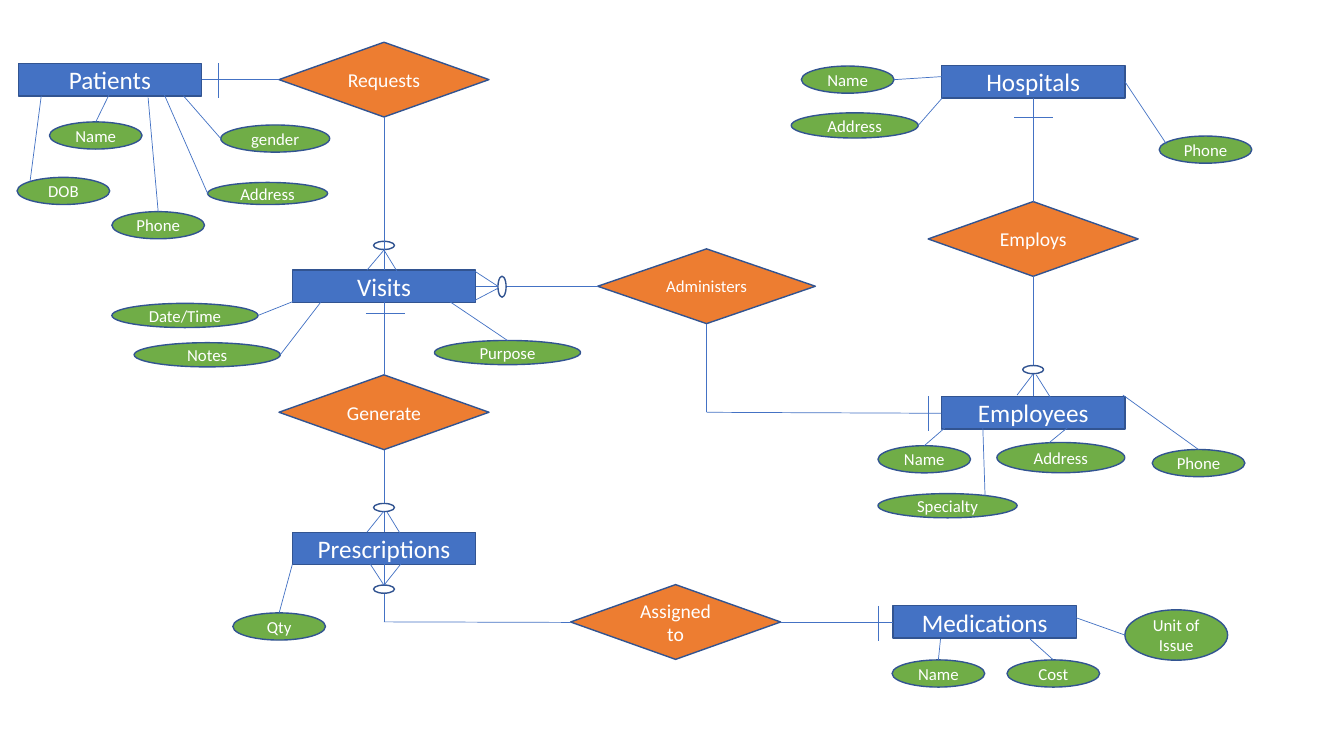
from dataclasses import dataclass
from typing import NamedTuple

from lxml.etree import SubElement
from pptx import Presentation
from pptx.dml.color import RGBColor
from pptx.enum.shapes import MSO_CONNECTOR, MSO_SHAPE
from pptx.enum.text import MSO_ANCHOR, PP_ALIGN
from pptx.oxml.ns import qn
from pptx.shapes.autoshape import Shape
from pptx.util import Pt

BLUE = RGBColor(0x44, 0x72, 0xC4)
ORANGE = RGBColor(0xED, 0x7D, 0x31)
GREEN = RGBColor(0x70, 0xAD, 0x47)
WHITE = RGBColor(0xFF, 0xFF, 0xFF)
OUTLINE = RGBColor(0x32, 0x54, 0x91)

ENTITY_WIDTH, ENTITY_HEIGHT = 131, 23.2
DIAMOND_HEIGHT = 53.4
ZERO_LONG, ZERO_SHORT = 15, 5.8
VISIT_X, HOSPITAL_X = 274.3, 738


class Point(NamedTuple):
    """A place in points, or a fraction of a shape's width and height."""
    x: float
    y: float


class Segment(NamedTuple):
    """A straight line between two points."""
    start: Point
    end: Point


TOP, LEFT, RIGHT = Point(0.5, 0), Point(0, 0.5), Point(1, 0.5)
UPPER_LEFT = Point(0.14, 0.15)


@dataclass
class Attribute:
    """An oval, and the line from its entity to a spot on its edge."""
    name: str
    left: float
    top: float
    start: Point
    side: Point = TOP
    width: float = 66.2
    height: float = 19.4


@dataclass
class Entity:
    """A named table of the model with its attributes."""
    name: str
    left: float
    top: float
    attributes: list[Attribute]


@dataclass
class Relationship:
    """A diamond placed by its centre."""
    name: str
    center: Point
    width: float = 150
    font_size: float = 14


ENTITIES = [
    Entity("Patients", 13, 45.4, [
        Attribute("Name", 35.3, 87.1, Point(77.8, 67.9)),
        Attribute("gender", 157.7, 89.3, Point(131, 68.4), LEFT, 77.8),
        Attribute("DOB", 12.2, 126.7, Point(29.5, 68.4), UPPER_LEFT),
        Attribute("Address", 148.3, 130.3, Point(117.4, 67.7), LEFT, 85.7, 15.8),
        Attribute("Phone", 79.9, 151.2, Point(105.8, 69.8)),
    ]),
    Entity("Visits", 208.8, 193, [
        Attribute("Date/Time", 79.9, 216.7, Point(209.5, 215.3), RIGHT, 104.4, 17.3),
        Attribute("Notes", 95.8, 244.8, Point(229, 216), RIGHT, 104.4, 17.3),
        Attribute("Purpose", 310.3, 243.2, Point(321.1, 215.3), TOP, 104.4, 17.3),
    ]),
    Entity("Prescriptions", 208.8, 380.2, [
        Attribute("Qty", 166.3, 437.8, Point(208.8, 403.2)),
    ]),
    Entity("Hospitals", 672.5, 46.8, [
        Attribute("Name", 572.4, 47.2, Point(673.2, 54.7), RIGHT),
        Attribute("Address", 565.2, 80.6, Point(673.2, 69.8), RIGHT, 90.7, 18),
        Attribute("Phone", 828, 97.2, Point(803.5, 58.3), Point(0.08, 0.3)),
    ]),
    Entity("Employees", 672.5, 283.2, [
        Attribute("Name", 627.1, 318.4, Point(676.1, 304.6)),
        Attribute("Address", 712.1, 316.1, Point(765.4, 303.1), Point(0.41, 0), 91.4, 21.6),
        Attribute("Phone", 823, 321.1, Point(802.1, 282.2)),
        Attribute("Specialty", 627.1, 352.6, Point(702, 304.6), Point(0.77, 0.08), 99.4, 17.3),
    ]),
    Entity("Medications", 637.9, 432.7, [
        Attribute("Name", 637.2, 471.4, Point(671.8, 456.5)),
        Attribute("Cost", 719.3, 471.4, Point(735.8, 456.5)),
        Attribute("Unit of Issue", 803.5, 435.6, Point(766.8, 440.6), LEFT, 73.4, 36),
    ]),
]

RELATIONSHIPS = [
    Relationship("Requests", Point(VISIT_X, 56.9)),
    Relationship("Employs", Point(HOSPITAL_X, 170.7)),
    Relationship("Administers", Point(504.7, 204.5), 155.5, 12),
    Relationship("Generate", Point(VISIT_X, 294.5)),
    Relationship("Assigned to", Point(482.6, 444.3)),
]

LINKS = [
    Segment(Point(144, 56.9), Point(199.4, 56.9)),
    Segment(Point(VISIT_X, 216), Point(VISIT_X, 267.8)),
    Segment(Point(VISIT_X, 321.5), Point(VISIT_X, 380.2)),
    Segment(Point(VISIT_X, 403.2), Point(VISIT_X, 444.2)),
    Segment(Point(VISIT_X, 444.2), Point(407.5, 444.6)),
    Segment(Point(558, 444.2), Point(637.9, 444.2)),
    Segment(Point(339.8, 204.5), Point(427, 204.5)),
    Segment(Point(504.7, 231.1), Point(504.7, 294.5)),
    Segment(Point(504.7, 294.5), Point(672.5, 295.2)),
    Segment(Point(HOSPITAL_X, 69.8), Point(HOSPITAL_X, 144)),
    Segment(Point(HOSPITAL_X, 197.3), Point(HOSPITAL_X, 283)),
]

UPRIGHT_BARS = [Point(155.7, 57.6), Point(663.1, 295.5), Point(627.6, 445.2)]
LEVEL_BARS = [Point(738.4, 83.8), Point(275.4, 223.9)]
BAR_RISE, BAR_RUN = 12.4, 14

LEVEL_ZEROS = [Point(VISIT_X, 175.3), Point(VISIT_X, 362.5),
               Point(VISIT_X, 420.8), Point(HOSPITAL_X, 264)]
UPRIGHT_ZEROS = [Point(358.6, 204.8)]

CROW_FEET = [
    Segment(Point(VISIT_X, 83.5), Point(VISIT_X, 193)),
    Segment(Point(VISIT_X, 178.6), Point(262.1, 193)),
    Segment(Point(VISIT_X, 178.6), Point(284.4, 195.1)),
    Segment(Point(VISIT_X, 365), Point(262.1, 380.2)),
    Segment(Point(276.5, 365.8), Point(286.6, 382.3)),
    Segment(Point(VISIT_X, 418), Point(286.6, 402.5)),
    Segment(Point(VISIT_X, 418), Point(264.2, 402.5)),
    Segment(Point(355.7, 204.5), Point(339.1, 193.7)),
    Segment(Point(355.7, 205.9), Point(339.1, 214.6)),
    Segment(Point(HOSPITAL_X, 267.1), Point(726.5, 282.2)),
    Segment(Point(740.2, 267.8), Point(750.2, 283.7)),
]


def add_figure(kind: MSO_SHAPE, left: float, top: float, width: float,
               height: float, color: RGBColor) -> Shape:
    """Draw an outlined shape filled with one colour."""
    shape = slide.shapes.add_shape(kind, Pt(left), Pt(top), Pt(width), Pt(height))
    shape.shadow.inherit = False
    shape.fill.solid()
    shape.fill.fore_color.rgb = color
    shape.line.color.rgb = OUTLINE
    shape.line.width = Pt(1)
    return shape


def add_label(shape: Shape, text: str, size: float, side_margin: float = 7.2) -> None:
    """Write white centred text in a shape."""
    frame_format = {"word_wrap": True, "vertical_anchor": MSO_ANCHOR.MIDDLE,
                    "margin_left": Pt(side_margin), "margin_right": Pt(side_margin)}
    for name, value in frame_format.items():
        setattr(shape.text_frame, name, value)
    paragraph = shape.text_frame.paragraphs[0]
    paragraph.alignment = PP_ALIGN.CENTER
    run = paragraph.add_run()
    run.text = text
    for name, value in {"name": "Calibri", "size": Pt(size)}.items():
        setattr(run.font, name, value)
    run.font.color.rgb = WHITE


def add_line(start: Point, end: Point) -> None:
    """Draw a thin blue line without a shadow."""
    line = slide.shapes.add_connector(
        MSO_CONNECTOR.STRAIGHT, Pt(start.x), Pt(start.y), Pt(end.x), Pt(end.y))
    line.line.color.rgb = BLUE
    line.line.width = Pt(0.5)
    SubElement(line._element.spPr, qn("a:effectLst"))


def add_bar(center: Point, run: float, rise: float) -> None:
    """Draw the bar that marks exactly one, by its half lengths."""
    add_line(Point(center.x - run, center.y - rise), Point(center.x + run, center.y + rise))


def add_zero(center: Point, width: float, height: float) -> None:
    """Draw the small ring that marks zero or more."""
    add_figure(MSO_SHAPE.OVAL, center.x - width / 2, center.y - height / 2, width, height, WHITE)


def add_attribute(item: Attribute) -> None:
    """Draw an attribute oval and its line."""
    oval = add_figure(MSO_SHAPE.OVAL, item.left, item.top, item.width, item.height, GREEN)
    add_label(oval, item.name, 12, 4)
    add_line(item.start, Point(item.left + item.side.x * item.width,
                               item.top + item.side.y * item.height))


presentation = Presentation()
presentation.slide_width, presentation.slide_height = Pt(960), Pt(540)
slide = presentation.slides.add_slide(presentation.slide_layouts[6])

for relationship in RELATIONSHIPS:
    diamond = add_figure(MSO_SHAPE.DIAMOND, relationship.center.x - relationship.width / 2,
                         relationship.center.y - DIAMOND_HEIGHT / 2,
                         relationship.width, DIAMOND_HEIGHT, ORANGE)
    add_label(diamond, relationship.name, relationship.font_size)
for entity in ENTITIES:
    box = add_figure(MSO_SHAPE.RECTANGLE, entity.left, entity.top,
                     ENTITY_WIDTH, ENTITY_HEIGHT, BLUE)
    add_label(box, entity.name, 18)
for link in LINKS:
    add_line(*link)
for bar in UPRIGHT_BARS:
    add_bar(bar, 0, BAR_RISE)
for bar in LEVEL_BARS:
    add_bar(bar, BAR_RUN, 0)
for zero in LEVEL_ZEROS:
    add_zero(zero, ZERO_LONG, ZERO_SHORT)
for zero in UPRIGHT_ZEROS:
    add_zero(zero, ZERO_SHORT, ZERO_LONG)
for foot in CROW_FEET:
    add_line(*foot)
for entity in ENTITIES:
    for attribute in entity.attributes:
        add_attribute(attribute)

presentation.save("out.pptx")
